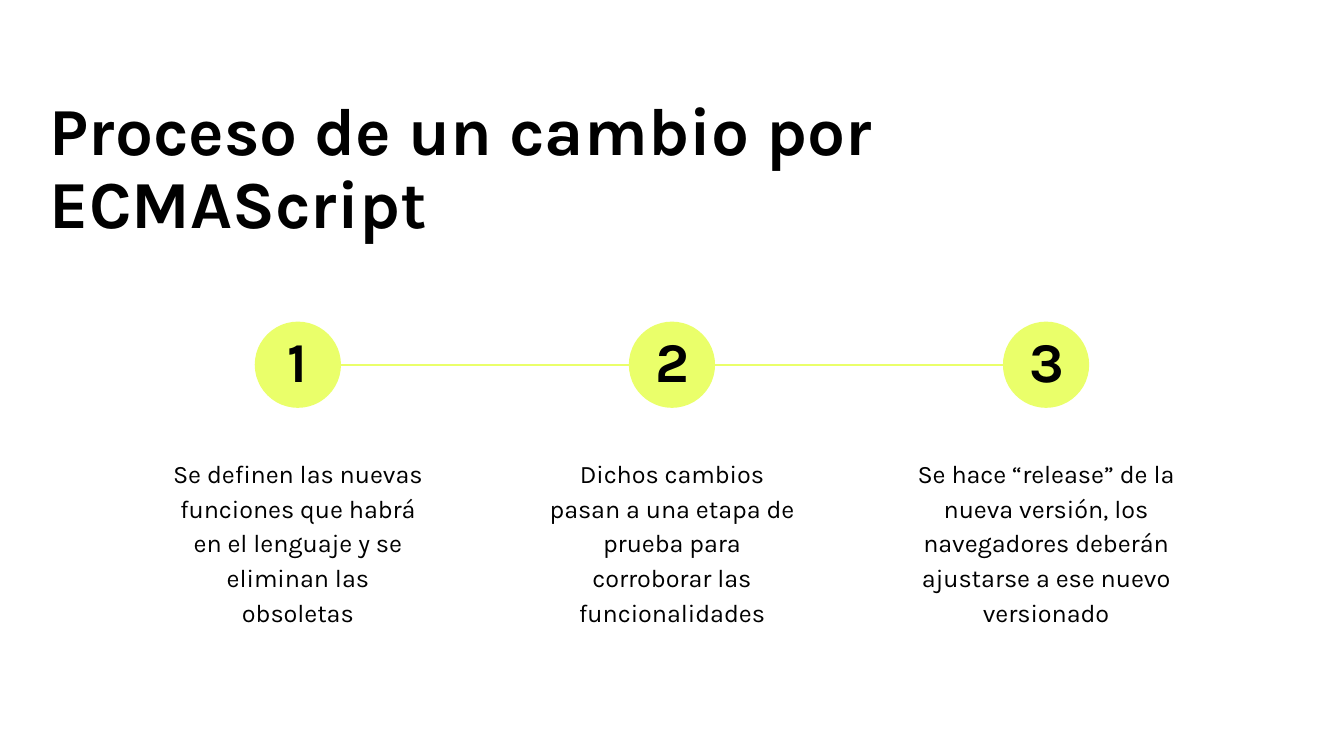
from pptx import Presentation
from pptx.dml.color import RGBColor
from pptx.enum.shapes import MSO_CONNECTOR, MSO_SHAPE
from pptx.enum.text import MSO_AUTO_SIZE, PP_ALIGN as Align
from pptx.oxml.ns import qn
from pptx.util import Cm, Pt

BLACK = RGBColor(0x00, 0x00, 0x00)
LIME = RGBColor(0xEA, 0xFF, 0x6A)

STEPS = [
    "Se definen las nuevas funciones que habrá en el lenguaje y se eliminan las obsoletas",
    "Dichos cambios pasan a una etapa de prueba para corroborar las funcionalidades",
    "Se hace “release” de la nueva versión, los navegadores deberán ajustarse a ese nuevo versionado",
]
FIRST_CENTER, PITCH = 5.63, 7.07
DIAMETER, CIRCLE_TOP = 1.63, 6.08
LINE_Y = 6.9
NUMBER_WIDTH, STEP_WIDTH = 1.14, 5.41

prs = Presentation()
prs.slide_width, prs.slide_height = Cm(25.4), Cm(14.29)
slide = prs.slides.add_slide(prs.slide_layouts[6])
shapes = slide.shapes


def add_text(text, left, top, width, height, size, spacing, bold=False, align=Align.LEFT):
    """Add a one-paragraph text box; lengths are in centimetres."""
    frame = shapes.add_textbox(Cm(left), Cm(top), Cm(width), Cm(height)).text_frame
    frame.word_wrap = True
    frame.auto_size = MSO_AUTO_SIZE.SHAPE_TO_FIT_TEXT
    frame.margin_left = frame.margin_right = Cm(0.25)
    frame.margin_top = frame.margin_bottom = Cm(0.25)
    paragraph = frame.paragraphs[0]
    paragraph.text = text
    paragraph.alignment = align
    paragraph.line_spacing = spacing
    font = paragraph.font
    font.name, font.size, font.bold = "Karla", Pt(size), bold
    font.color.rgb = BLACK


add_text("Proceso de un cambio por ECMAScript", 0.69, 1.6, 20.29, 3.28, 36, 0.9, bold=True)

centers = [FIRST_CENTER + i * PITCH for i in range(len(STEPS))]

for number, (center, step) in enumerate(zip(centers, STEPS), start=1):
    circle = shapes.add_shape(MSO_SHAPE.OVAL, Cm(center - DIAMETER / 2), Cm(CIRCLE_TOP),
                              Cm(DIAMETER), Cm(DIAMETER))
    circle.shadow.inherit = False
    circle.fill.solid()
    circle.fill.fore_color.rgb = LIME
    circle.line.fill.background()

    add_text(str(number), center - NUMBER_WIDTH / 2, 6.07, NUMBER_WIDTH, 1.68,
             30, 0.9, bold=True, align=Align.CENTER)
    add_text(step, center - STEP_WIDTH / 2, 8.33, STEP_WIDTH, 3.73,
             13.5, 1.15, align=Align.CENTER)

for start, end in zip(centers, centers[1:]):
    link = shapes.add_connector(MSO_CONNECTOR.STRAIGHT,
                                Cm(start + DIAMETER / 2), Cm(LINE_Y),
                                Cm(end - DIAMETER / 2), Cm(LINE_Y))
    link.line.color.rgb = LIME
    link.line.width = Pt(0.75)
    properties = link._element.spPr
    properties.append(properties.makeelement(qn("a:effectLst"), {}))

prs.save("out.pptx")
